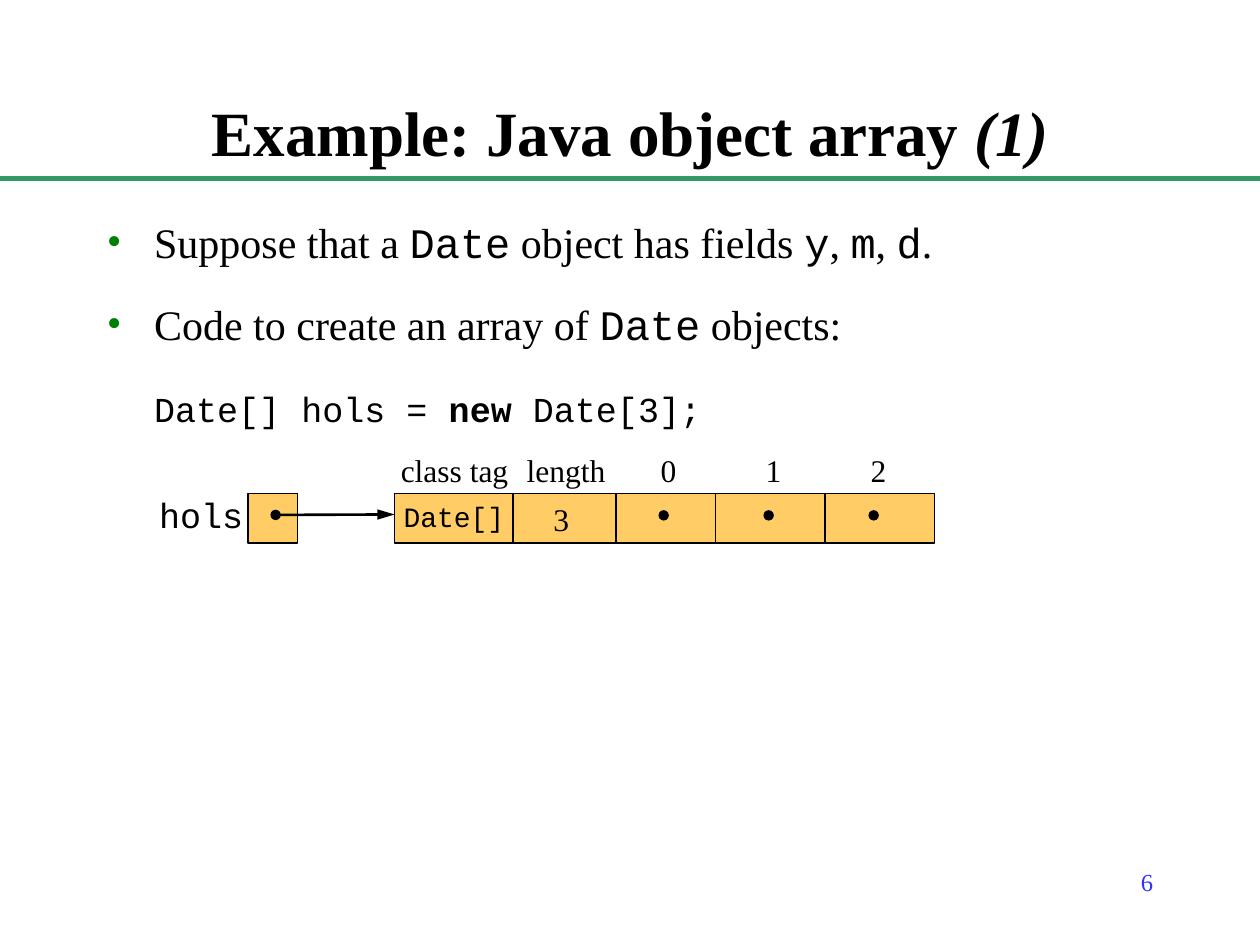
from pptx import Presentation
from pptx.dml.color import RGBColor
from pptx.enum.shapes import MSO_CONNECTOR as Link, MSO_SHAPE as Shape
from pptx.enum.text import MSO_ANCHOR as Anchor, PP_ALIGN as Align
from pptx.oxml.ns import qn
from pptx.util import Pt
from lxml.etree import SubElement as Sub

SERIF, MONO = "Times New Roman", "Courier New"


def color(code):
    return RGBColor.from_string(code)


def write(para, text, font=SERIF, size=18, ink="000000", bold=False, slant=False):
    run = para.add_run()
    run.text = text
    face = run.font
    face.name, face.size = font, Pt(size)
    face.bold, face.italic = bold, slant
    face.color.rgb = color(ink)


class Page:
    ink, fill = "000000", "FFCC66"

    def __init__(self, slide):
        self.items = slide.shapes

    def text(self, x, y, w, h, runs=(), align=Align.LEFT, pad=(0, 0),
             anchor=Anchor.TOP):
        frame = self.items.add_textbox(Pt(x), Pt(y), Pt(w), Pt(h)).text_frame
        return self.place(frame, runs, align, pad, anchor)

    def place(self, frame, runs, align, pad, anchor=Anchor.TOP):
        frame.word_wrap, frame.vertical_anchor = True, anchor
        frame.margin_left = frame.margin_right = Pt(pad[0])
        frame.margin_top = frame.margin_bottom = Pt(pad[1])
        para = frame.paragraphs[0]
        para.alignment = align
        for text, form in runs:
            write(para, text, **form)
        return frame

    def cell(self, x, w, runs=()):
        box = self.items.add_shape(Shape.RECTANGLE, Pt(x), Pt(282), Pt(w), Pt(28.25))
        box.shadow.inherit = False
        box.fill.solid()
        box.fill.fore_color.rgb = color(self.fill)
        box.line.color.rgb = color(self.ink)
        box.line.width = Pt(0.75)
        self.place(box.text_frame, runs, Align.CENTER, (4.5, 3.6))

    def line(self, x1, y1, x2, y2, ink=ink, width=1.5, head=None, tail=None):
        link = self.items.add_connector(Link.STRAIGHT, Pt(x1), Pt(y1), Pt(x2), Pt(y2))
        link.line.color.rgb = color(ink)
        link.line.width = Pt(width)
        prop = link._element.spPr
        for tag, kind, size in (("a:headEnd", head, "med"), ("a:tailEnd", tail, "lg")):
            if kind:
                Sub(prop.find(qn("a:ln")), qn(tag), type=kind, w="med", len=size)
        Sub(prop, qn("a:effectLst"))

    def item(self, para, runs, dot=True, gap=18):
        para.space_before = Pt(gap)
        prop = para._p.get_or_add_pPr()
        prop.set("marL", str(Pt(27)))
        prop.set("indent", str(Pt(-27 if dot else 0)))
        if dot:
            tint = Sub(prop, qn("a:buClr"))
            Sub(tint, qn("a:srgbClr"), val="008000")
            Sub(prop, qn("a:buFont"), typeface=SERIF)
            Sub(prop, qn("a:buChar"), char="•")
        else:
            Sub(prop, qn("a:buNone"))
        for text, form in runs:
            write(para, text, **form)


def main():
    deck = Presentation()
    deck.slide_width, deck.slide_height = Pt(720), Pt(540)
    page = Page(deck.slides.add_slide(deck.slide_layouts[6]))
    inset = (7.2, 3.6)

    # Slide number and title
    page.text(516, 492, 150, 36, [("6", dict(size=14, ink="3333FF"))],
              Align.RIGHT, inset)
    page.text(54, 48, 612, 54, [
        ("Example: Java object array ", dict(size=36, bold=True)),
        ("(1)", dict(size=36, bold=True, slant=True)),
    ], Align.CENTER, inset, Anchor.MIDDLE)

    # Bullets and code
    word, name = dict(size=24), dict(size=24, font=MONO)
    code = dict(size=20, font=MONO)
    body = page.text(54, 120, 612, 360, pad=inset)
    page.item(body.paragraphs[0], [
        ("Suppose that a ", word), ("Date", name), (" object has fields ", word),
        ("y", name), (", ", word), ("m", name), (", ", word), ("d", name), (".", word),
    ])
    page.item(body.add_paragraph(), [
        ("Code to create an array of ", word), ("Date", name), (" objects:", word),
    ])
    page.item(body.add_paragraph(), [
        ("Date[] hols = ", code), ("new", dict(code, bold=True)), (" Date[3];", code),
    ], dot=False, gap=22.5)

    # Variable
    page.text(85, 282, 54, 24, [("hols", code)], Align.RIGHT)
    page.cell(141.75, 28.25)

    # Array cells, each overlapping the one before as needed
    for x in (349.25, 409, 471.5):
        page.cell(x, 62.5)
    page.cell(289.5, 62.5, [("3", {})])
    page.cell(225.5, 67.75, [("Date[]", dict(font=MONO, size=16))])

    # Headings and element dots
    page.text(229, 258, 68, 21.5, [("class tag", {})])
    page.text(301, 258, 50, 21.5, [("length", {})])
    for i in range(3):
        x = 355 + 60 * i
        page.text(x, 258, 54, 21.5, [(str(i), {})], Align.CENTER)
        page.line(x + 24.25, 294.5, x + 24.25, 293.75, head="oval")

    # Reference arrow and title rule
    page.line(157.5, 294.25, 225.5, 294, head="oval", tail="triangle")
    page.line(0, 102, 720, 102, ink="339966", width=3)
    deck.save("out.pptx")


if __name__ == "__main__":
    main()
